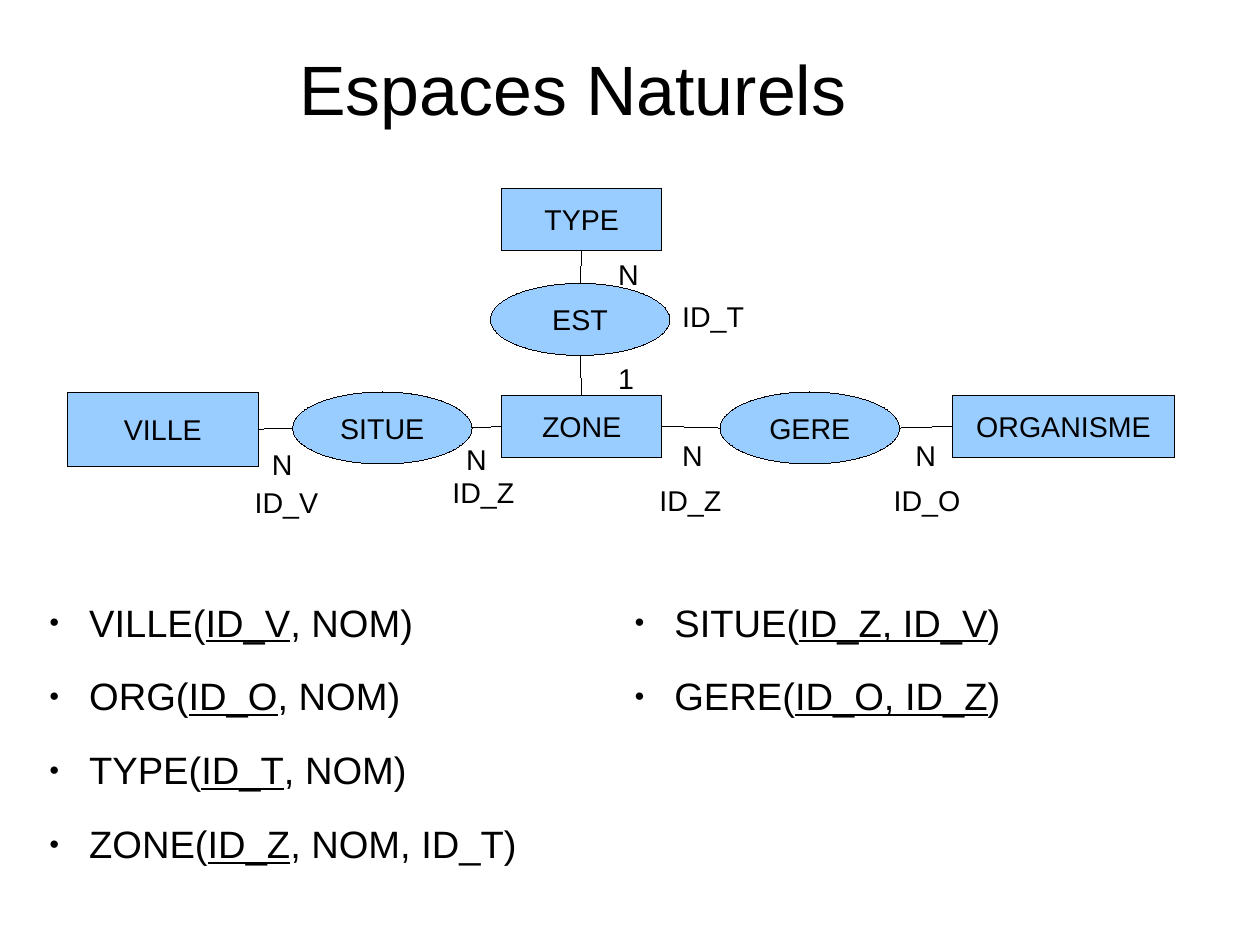
"""Build the Espaces Naturels slide: an entity diagram above its relations."""
from dataclasses import dataclass

from lxml import etree
from pptx import Presentation
from pptx import util as u
from pptx.dml.color import RGBColor
from pptx.enum import shapes, text
from pptx.oxml.ns import qn

BLACK, BLUE = "000000", "99CCFF"
TOP, LEFT, BOTTOM, RIGHT = range(4)


@dataclass(frozen=True)
class Node:
    name: str
    x: float
    y: float
    w: float
    h: float = 0.54
    kind: int = shapes.MSO_SHAPE.RECTANGLE

    def side(self, side: int) -> tuple[float, float]:
        """Return the middle of one side."""
        mid_x, mid_y = self.x + self.w / 2, self.y + self.h / 2
        return ((mid_x, self.y), (self.x, mid_y),
                (mid_x, self.y + self.h), (self.x + self.w, mid_y))[side]


@dataclass(frozen=True)
class Label:
    word: str
    x: float
    y: float
    w: float


@dataclass(frozen=True)
class Link:
    box: Node
    start: int
    oval: Node
    end: int


def oval(name: str, x: float, y: float) -> Node:
    """Describe an association."""
    return Node(name, x, y, 1.57, 0.63, shapes.MSO_SHAPE.OVAL)


VILLE = Node("VILLE", 0.59, 3.43, 1.67, 0.65)
ZONE = Node("ZONE", 4.39, 3.46, 1.4)
ORG = Node("ORGANISME", 8.33, 3.46, 1.95)
TYPE = Node("TYPE", 4.39, 1.65, 1.4)
EST = oval("EST", 4.29, 2.48)
GERE = oval("GERE", 6.3, 3.43)
SITUE = oval("SITUE", 2.56, 3.43)

LINKS = [
    Link(VILLE, RIGHT, SITUE, LEFT), Link(ZONE, LEFT, SITUE, RIGHT),
    Link(ZONE, RIGHT, GERE, LEFT), Link(ORG, LEFT, GERE, RIGHT),
    Link(TYPE, BOTTOM, EST, TOP), Link(ZONE, TOP, EST, BOTTOM),
]
LABELS = [
    Label("N", 2.28, 3.86, 0.35), Label("N", 3.98, 3.82, 0.63),
    Label("N", 5.87, 3.78, 0.31), Label("N", 7.91, 3.78, 0.24),
    Label("N", 5.31, 2.2, 0.47), Label("1", 5.31, 3.11, 0.31),
    Label("ID_V", 2.13, 4.19, 0.94), Label("ID_Z", 3.86, 4.11, 0.94),
    Label("ID_Z", 5.67, 4.18, 0.98), Label("ID_O", 7.72, 4.18, 0.98),
    Label("ID_T", 5.87, 2.57, 0.91),
]
TABLES = ["VILLE(|ID_V|, NOM)", "ORG(|ID_O|, NOM)",
          "TYPE(|ID_T|, NOM)", "ZONE(|ID_Z|, NOM, ID_T)"]
JOINS = ["SITUE(|ID_Z, ID_V|)", "GERE(|ID_O, ID_Z|)"]


def color(code: str) -> RGBColor:
    """Turn a hex string into a colour."""
    return RGBColor.from_string(code)


def inches(*sizes: float) -> list[int]:
    """Turn numbers into lengths."""
    return [u.Inches(size) for size in sizes]


def add_dot(para) -> None:
    """Give a paragraph a small round bullet and a hanging indent."""
    props = para._p.get_or_add_pPr()
    props.set("marL", str(u.Inches(0.47)))
    props.set("indent", str(u.Inches(-0.35)))
    tint = etree.SubElement(props, qn("a:buClr"))
    etree.SubElement(tint, qn("a:srgbClr"), val=BLACK)
    etree.SubElement(props, qn("a:buSzPct"), val="45000")
    etree.SubElement(props, qn("a:buFont"), typeface="Arial")
    etree.SubElement(props, qn("a:buChar"), char="●")


def write(frame, *lines: str, size: float = 18, align=text.PP_ALIGN.LEFT,
          anchor=text.MSO_ANCHOR.TOP, pad: tuple[float, float] = (0.1, 0.05),
          wrap: bool = True, fit=text.MSO_AUTO_SIZE.NONE,
          dots: bool = False, after: float = 0) -> None:
    """Fill a frame with lines, underlining the parts between bars."""
    frame.word_wrap, frame.auto_size = wrap, fit
    frame.vertical_anchor = anchor
    frame.margin_left = frame.margin_right = u.Inches(pad[0])
    frame.margin_top = frame.margin_bottom = u.Inches(pad[1])
    for row, line in enumerate(lines):
        para = frame.add_paragraph() if row else frame.paragraphs[0]
        if dots:
            add_dot(para)
        para.alignment = align
        para.space_before, para.space_after = u.Pt(0), u.Pt(after)
        for part, words in enumerate(line.split("|")):
            run = para.add_run()
            run.text = words
            run.font.name, run.font.size = "Arial", u.Pt(size)
            run.font.color.rgb = color(BLACK)
            if part % 2:
                run.font.underline = True


def place(shape, x: float, y: float, w: float, h: float) -> None:
    """Move and size a placeholder."""
    shape.left, shape.top, shape.width, shape.height = inches(x, y, w, h)


def ink(line) -> None:
    """Draw a line as a black hairline."""
    line.color.rgb = color(BLACK)
    line.width = u.Pt(0.01)


def add_node(slide, node: Node):
    """Draw an entity or an association."""
    shape = slide.shapes.add_shape(
        node.kind, *inches(node.x, node.y, node.w, node.h))
    shape.shadow.inherit = False
    shape.fill.solid()
    shape.fill.fore_color.rgb = color(BLUE)
    ink(shape.line)
    write(shape.text_frame, node.name, align=text.PP_ALIGN.CENTER,
          anchor=text.MSO_ANCHOR.MIDDLE, wrap=False)
    return shape


def add_link(slide, link: Link, box) -> None:
    """Join an entity to an association."""
    ends = link.box.side(link.start) + link.oval.side(link.end)
    line = slide.shapes.add_connector(
        shapes.MSO_CONNECTOR.STRAIGHT, *inches(*ends))
    line.begin_connect(box, link.start)
    ink(line.line)
    etree.SubElement(line._element.spPr, qn("a:effectLst"))


def add_label(slide, label: Label) -> None:
    """Write a key or a count beside a link."""
    box = slide.shapes.add_textbox(*inches(label.x, label.y, label.w, 0.38))
    write(box.text_frame, label.word, fit=text.MSO_AUTO_SIZE.SHAPE_TO_FIT_TEXT)


def main() -> None:
    """Build and save the slide."""
    deck = Presentation()
    deck.slide_width = u.Cm(28)
    deck.slide_height = u.Cm(21)
    slide = deck.slides.add_slide(deck.slide_layouts[3])
    title, left, right = slide.placeholders
    place(title, 1.73, 0.43, 6.57, 0.68)
    write(title.text_frame, "Espaces Naturels", size=44, pad=(0, 0),
          align=text.PP_ALIGN.CENTER, anchor=text.MSO_ANCHOR.MIDDLE)
    for body, x, h, lines in ((left, 0.31, 2.76, TABLES),
                              (right, 5.43, 1.77, JOINS)):
        place(body, x, 5.24, 5, h)
        write(body.text_frame, *lines, size=24, pad=(0, 0),
              dots=True, after=17.7)
    boxes = {node: add_node(slide, node) for node in (VILLE, ZONE, ORG, TYPE)}
    for link in LINKS:
        add_link(slide, link, boxes[link.box])
    for label in LABELS:
        add_label(slide, label)
    for node in (EST, GERE, SITUE):
        add_node(slide, node)
    deck.save("out.pptx")


if __name__ == "__main__":
    main()
